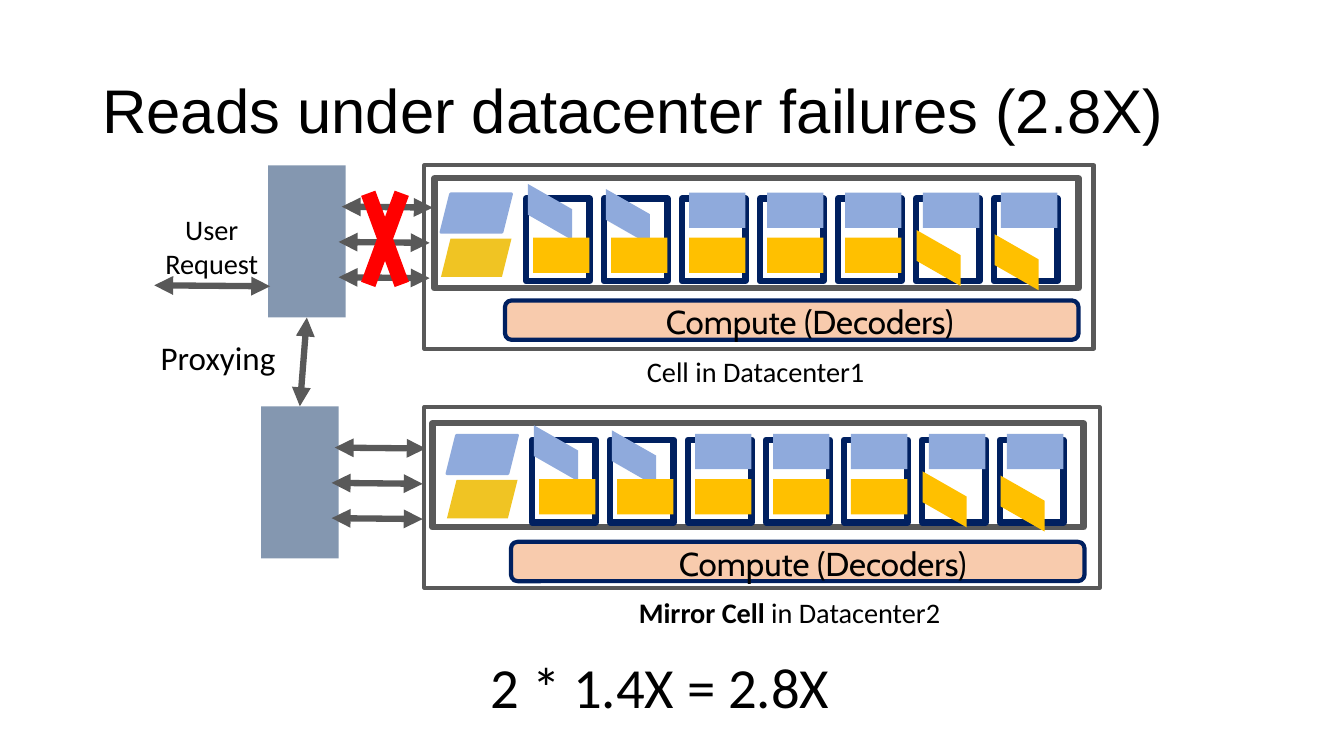
from lxml.etree import SubElement
from pptx import Presentation
from pptx.dml.color import RGBColor
from pptx.enum.shapes import MSO_CONNECTOR, MSO_SHAPE
from pptx.enum.text import MSO_ANCHOR, MSO_AUTO_SIZE, PP_ALIGN
from pptx.oxml.ns import qn
from pptx.util import Pt

BLACK = RGBColor(0x00, 0x00, 0x00)
GRAY = RGBColor(0x59, 0x59, 0x59)
SLATE = RGBColor(0x84, 0x97, 0xB0)
NAVY = RGBColor(0x00, 0x20, 0x60)
PEACH = RGBColor(0xF8, 0xCB, 0xAD)
BLUE = RGBColor(0x8F, 0xAA, 0xDC)
GOLD = RGBColor(0xFF, 0xC0, 0x00)
MUSTARD = RGBColor(0xF0, 0xC4, 0x23)
RED = RGBColor(0xFF, 0x00, 0x00)

DISKS = 7
PITCH = 55.7
ROW = 25.2


class Board:
    """Draws styled elements on one slide; all lengths are in points."""

    def __init__(self, slide):
        self.shapes = slide.shapes

    def paint(self, shape, fill, line, weight):
        shape.shadow.inherit = False
        if fill is None:
            shape.fill.background()
        else:
            shape.fill.solid()
            shape.fill.fore_color.rgb = fill
        if line is None:
            shape.line.fill.background()
        else:
            shape.line.color.rgb = line
            shape.line.width = Pt(weight)
        return shape

    def box(self, x, y, w, h, fill=None, line=None, weight=4.5,
            kind=MSO_SHAPE.RECTANGLE):
        shape = self.shapes.add_shape(kind, Pt(x), Pt(y), Pt(w), Pt(h))
        return self.paint(shape, fill, line, weight)

    def skew(self, x, y, fill):
        """Draw a tile whose right side sits lower than its left."""
        w, h, drop = 31.5, 22, 18
        form = self.shapes.build_freeform(Pt(x), Pt(y))
        form.add_line_segments([
            (Pt(x + w), Pt(y + drop)),
            (Pt(x + w), Pt(y + drop + h)),
            (Pt(x), Pt(y + h)),
        ], close=True)
        return self.paint(form.convert_to_shape(), fill, None, 0)

    def arrow(self, x1, y1, x2, y2):
        """Draw a line with a head at both ends."""
        link = self.shapes.add_connector(
            MSO_CONNECTOR.STRAIGHT, Pt(x1), Pt(y1), Pt(x2), Pt(y2))
        link.line.color.rgb = GRAY
        link.line.width = Pt(4.5)
        stroke = link.line._get_or_add_ln()
        for end in ("a:headEnd", "a:tailEnd"):
            SubElement(stroke, qn(end)).set("type", "triangle")
        SubElement(link._element.spPr, qn("a:effectLst"))
        return link

    def style(self, frame, size, font, align=PP_ALIGN.LEFT):
        for para in frame.paragraphs:
            para.alignment = align
            for run in para.runs:
                run.font.size = Pt(size)
                run.font.name = font
                run.font.color.rgb = BLACK

    def label(self, x, y, w, h, text, size, align=PP_ALIGN.LEFT):
        box = self.shapes.add_textbox(Pt(x), Pt(y), Pt(w), Pt(h))
        frame = box.text_frame
        frame.text = text
        frame.word_wrap = False
        frame.auto_size = MSO_AUTO_SIZE.SHAPE_TO_FIT_TEXT
        self.style(frame, size, "Calibri", align)
        return frame

    def title(self, text):
        box = self.shapes.add_textbox(Pt(66), Pt(28.8), Pt(828), Pt(104.4))
        frame = box.text_frame
        frame.text = text
        frame.word_wrap = True
        frame.vertical_anchor = MSO_ANCHOR.MIDDLE
        frame.paragraphs[0].line_spacing = 0.9
        self.style(frame, 44, "Arial")

    def decoder(self, x, y, inset):
        bar = self.box(x, y, 409.7, 28.1, PEACH, NAVY, 3,
                       MSO_SHAPE.ROUNDED_RECTANGLE)
        frame = bar.text_frame
        frame.text = "Compute (Decoders)"
        frame.word_wrap = True
        frame.vertical_anchor = MSO_ANCHOR.TOP
        frame.margin_left, frame.margin_right = Pt(inset), Pt(5.8)
        frame.margin_top = frame.margin_bottom = Pt(2.9)
        frame.paragraphs[0].line_spacing = 0.9
        self.style(frame, 23.6, "Cabin")

    def disk(self, x, y, col):
        """Draw one disk; the outer columns hold a skewed tile."""
        self.box(x, y, 45.4, 59, line=NAVY)
        if col < 2:
            self.skew(x + 1.3, y - 10.4 + 3.6 * col, BLUE)
        else:
            self.box(x + 5, y - 4.3, 40.3, 25.2, BLUE)
        if col < DISKS - 2:
            self.box(x + 5, y + 28, 40.3, 25.2, GOLD)
        else:
            self.skew(x + 0.4, y + 22.5 + 3 * (col - DISKS + 2), GOLD)

    def cell(self, x, y, outer, inner, inset):
        """Draw a cell whose first disk is at x, y."""
        self.decoder(x - 15.1, y + 72.8, inset)
        self.box(*outer, line=GRAY, weight=3)
        self.box(*inner, line=GRAY)
        for col in range(DISKS):
            self.disk(x + PITCH * col, y, col)
        slant = MSO_SHAPE.PARALLELOGRAM
        self.box(x - 60.8, y + 28.6, 50.4, 27.4, MUSTARD, kind=slant)
        self.box(x - 60.8, y - 3.3, 50.4, 27.4, BLUE, BLUE, 2, slant)

    def gate(self, x, y):
        """Draw a front end with its three arrows to the cell."""
        gate = self.box(x, y, 55.4, 108.7, SLATE)
        for row in range(3):
            start = x + (52.6 if row == 0 else 50.4)
            level = y + 29.5 + ROW * row
            self.arrow(start, level, start + 65, level + 0.7)
        return gate


def main():
    deck = Presentation()
    deck.slide_width, deck.slide_height = Pt(960), Pt(540)
    board = Board(deck.slides.add_slide(deck.slide_layouts[6]))

    board.title("Reads under datacenter failures (2.8X)")
    board.label(343.4, 462.2, 258.5, 56.2, "2 * 1.4X = 2.8X", 40.5)

    board.cell(375.8, 141.8, (303.1, 118.1, 478.1, 131),
               (310.3, 127.4, 460.1, 78.5), 113.5)
    board.cell(380.1, 314.2, (303.1, 290.9, 482.4, 128.9),
               (308.9, 302.4, 465.1, 74.2), 118.5)
    board.label(455, 249.8, 172.1, 31.7, "Cell in Datacenter1", 20.2)
    mirror = board.label(449.3, 421.9, 233.3, 31.7, "Mirror Cell", 20.2)
    mirror.paragraphs[0].add_run().text = " in Datacenter2"
    board.style(mirror, 20.2, "Calibri")
    mirror.paragraphs[0].runs[0].font.bold = True

    front = board.gate(191.5, 118.1)
    backup = board.gate(186.5, 290.2)
    board.arrow(110.2, 203.8, 193, 204.5)
    board.label(110.2, 148.3, 82.1, 56.2, "User\nRequest", 20.2,
                PP_ALIGN.CENTER)
    board.box(252, 108, 46.1, 125.3, RED, kind=MSO_SHAPE.MATH_MULTIPLY)

    proxy = board.arrow(214.2, 290.2, 219.2, 226.8)
    proxy.begin_connect(backup, 0)
    proxy.end_connect(front, 2)
    board.label(106.6, 237.6, 97.2, 36, "Proxying", 23.6, PP_ALIGN.RIGHT)

    deck.save("out.pptx")


if __name__ == "__main__":
    main()
